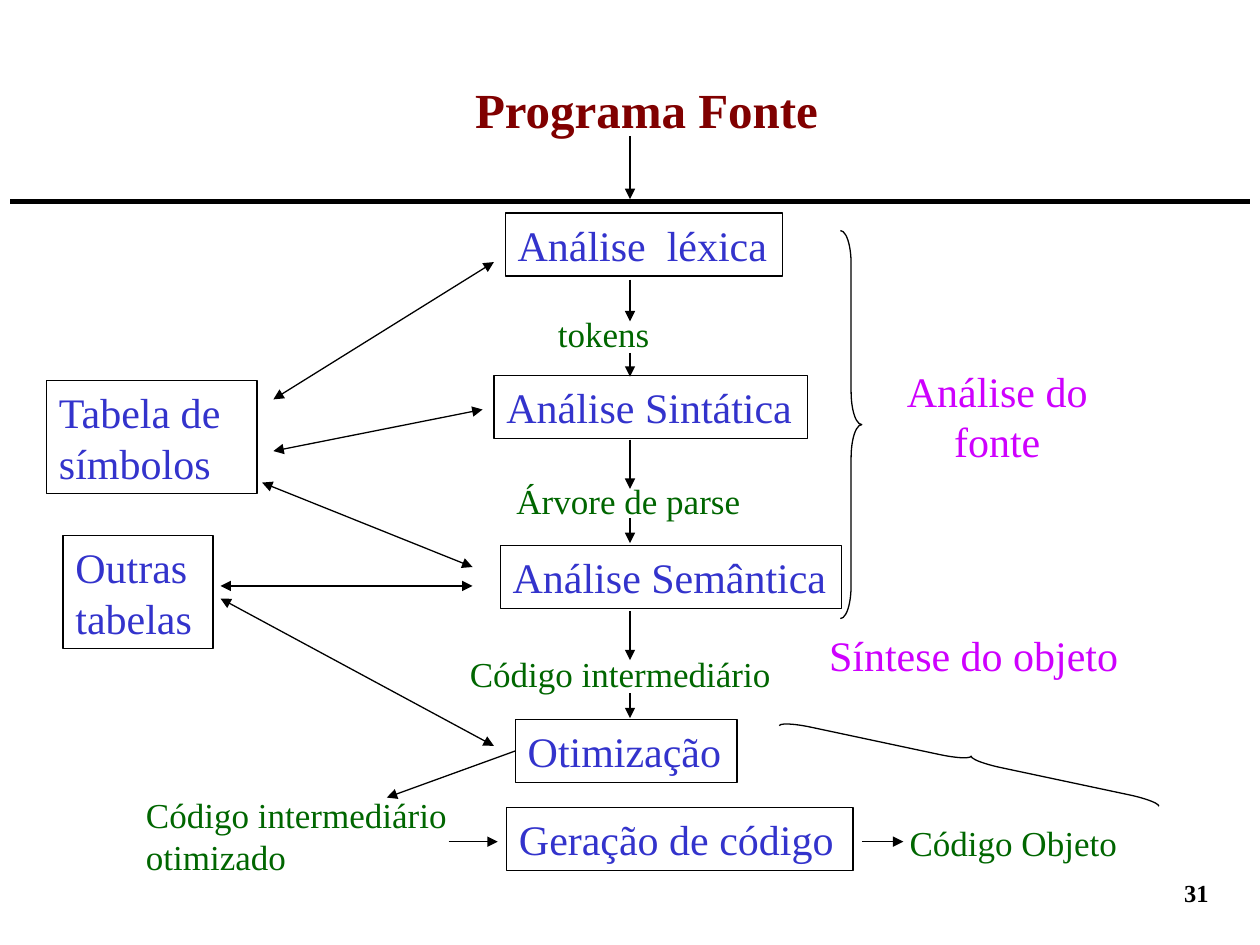
from dataclasses import dataclass
from typing import Optional

from lxml.etree import SubElement
from pptx import Presentation
from pptx.dml.color import RGBColor
from pptx.enum.shapes import MSO_CONNECTOR, MSO_SHAPE
from pptx.enum.text import MSO_ANCHOR, MSO_AUTO_SIZE, PP_ALIGN
from pptx.oxml.ns import qn
from pptx.util import Inches, Pt

FONT = "Times New Roman"
COLORS = {
    "line": "000000",
    "title": "800000",
    "phase": "3333CC",
    "product": "006600",
    "group": "CE00FE",
}
FLOW_X = 5
LEFT_SIDE = 1


@dataclass(frozen=True)
class Label:
    text: str
    left: float
    top: float
    width: float
    height: float
    color: str
    size: int = 24
    bold: bool = False
    wrap: bool = False
    align: PP_ALIGN = PP_ALIGN.LEFT
    inset: Optional[tuple[float, float]] = (0.1, 0.05)


@dataclass(frozen=True)
class Arrow:
    start: tuple[float, float]
    end: tuple[float, float]
    double: bool = False


@dataclass(frozen=True)
class Brace:
    left: float
    top: float
    width: float
    height: float
    curve: float
    rotation: float = 0


def phase(text: str, left: float, top: float, width: float,
          height: float = 0.5, wrap: bool = False) -> Label:
    return Label(text, left, top, width, height, "phase", wrap=wrap)


def product(text: str, left: float, top: float, width: float,
            height: float = 0.44) -> Label:
    return Label(text, left, top, width, height, "product", size=20)


TITLE = Label("Programa Fonte", 3.67, 0.58, 3.01, 0.57, "title", 28, True)
OPTIMIZATION = phase("Otimização", 4.09, 5.71, 1.76)
PHASES = [
    phase("Análise  léxica", 4.01, 1.69, 2.2),
    phase("Análise Sintática", 3.92, 2.98, 2.49),
    phase("Análise Semântica", 3.97, 4.33, 2.71),
    OPTIMIZATION,
    phase("Geração de código", 4.02, 6.41, 2.75, wrap=True),
    phase("Tabela de símbolos", 0.37, 3.02, 1.67, 0.9, True),
    phase("Outras \vtabelas", 0.5, 4.25, 1.19, 0.9),
]
LABELS = [
    product("tokens", 4.33, 2.43, 1),
    product("Árvore de parse", 4, 3.76, 2.05),
    product("Código intermediário", 3.63, 5.13, 2.65),
    product("Código intermediário\votimizado", 1.06, 6.25, 2.65, 0.77),
    product("Código Objeto", 7.12, 6.47, 1.92),
    Label("Análise do fonte", 6.83, 2.85, 2.17, 0.9, "group",
          wrap=True, align=PP_ALIGN.CENTER),
    Label("Síntese do objeto", 6.58, 5, 2.5, 0.4, "group",
          wrap=True, inset=(0, 0)),
    Label("31", 9, 6.92, 0.69, 0.5, "line", 14, True, True, PP_ALIGN.RIGHT),
]
FLOW_SPANS = [(1.08, 1.58), (2.22, 2.55), (2.8, 2.99), (3.49, 3.88),
              (4.11, 4.31), (4.85, 5.24), (5.5, 5.7)]
ARROWS = [Arrow((FLOW_X, top), (FLOW_X, bottom)) for top, bottom in FLOW_SPANS] + [
    Arrow((3.56, 6.68), (3.95, 6.68)),
    Arrow((6.84, 6.68), (7.17, 6.68)),
    Arrow((2.17, 3.17), (3.92, 2.08), True),
    Arrow((2.17, 3.58), (3.83, 3.25), True),
    Arrow((1.75, 4.75), (3.92, 5.92), True),
    Arrow((2.08, 3.83), (3.75, 4.5), True),
    Arrow((1.75, 4.65), (3.75, 4.65), True),
]
OPTIMIZED_CODE_ARROW = Arrow((4.09, 5.96), (3.07, 6.33))
BRACES = [
    Brace(6.67, 1.83, 0.17, 3.08, 1.54),
    Brace(7.66, 4.5, 0.08, 3.08, 3.1, 282),
]


def color(name: str) -> RGBColor:
    return RGBColor.from_string(COLORS[name])


def place(label: Label) -> list:
    return [Inches(value) for value in (label.left, label.top, label.width, label.height)]


def write(shape, label: Label) -> None:
    frame = shape.text_frame
    frame.text = label.text
    frame.word_wrap = label.wrap
    frame.auto_size = MSO_AUTO_SIZE.SHAPE_TO_FIT_TEXT
    frame.vertical_anchor = MSO_ANCHOR.TOP
    horizontal, vertical = label.inset
    frame.margin_left = frame.margin_right = Inches(horizontal)
    frame.margin_top = frame.margin_bottom = Inches(vertical)
    for paragraph in frame.paragraphs:
        paragraph.alignment = label.align
        for run in paragraph.runs:
            run.font.name = FONT
            run.font.size = Pt(label.size)
            run.font.bold = label.bold
            run.font.color.rgb = color(label.color)


def outline(shape) -> None:
    shape.shadow.inherit = False
    shape.fill.background()
    shape.line.color.rgb = color("line")
    shape.line.width = Pt(0.75)


def add_phase(slide, label: Label):
    shape = slide.shapes.add_shape(MSO_SHAPE.RECTANGLE, *place(label))
    outline(shape)
    write(shape, label)
    return shape


def add_line(slide, start: tuple[float, float], end: tuple[float, float], width: float):
    points = [Inches(value) for value in (*start, *end)]
    connector = slide.shapes.add_connector(MSO_CONNECTOR.STRAIGHT, *points)
    connector.line.color.rgb = color("line")
    connector.line.width = Pt(width)
    SubElement(connector._element.spPr, qn("a:effectLst"))
    return connector


def add_arrow(slide, arrow: Arrow):
    connector = add_line(slide, arrow.start, arrow.end, 0.75)
    line = connector.line._get_or_add_ln()
    for tag in ("a:headEnd", "a:tailEnd") if arrow.double else ("a:tailEnd",):
        SubElement(line, qn(tag)).set("type", "triangle")
    return connector


def add_brace(slide, brace: Brace) -> None:
    shape = slide.shapes.add_shape(
        MSO_SHAPE.RIGHT_BRACE, Inches(brace.left), Inches(brace.top),
        Inches(brace.width), Inches(brace.height))
    shape.adjustments[0] = brace.curve
    shape.rotation = brace.rotation
    outline(shape)


def main() -> None:
    presentation = Presentation()
    presentation.slide_width = Inches(10)
    presentation.slide_height = Inches(7.5)
    slide = presentation.slides.add_slide(presentation.slide_layouts[5])

    add_line(slide, (0.08, 1.6), (9.92, 1.6), 3)
    title = slide.shapes.title
    title.left, title.top, title.width, title.height = place(TITLE)
    write(title, TITLE)

    phases = {label: add_phase(slide, label) for label in PHASES}
    for label in LABELS:
        write(slide.shapes.add_textbox(*place(label)), label)
    for arrow in ARROWS:
        add_arrow(slide, arrow)
    add_arrow(slide, OPTIMIZED_CODE_ARROW).begin_connect(phases[OPTIMIZATION], LEFT_SIDE)
    for brace in BRACES:
        add_brace(slide, brace)

    presentation.save("out.pptx")


if __name__ == "__main__":
    main()
